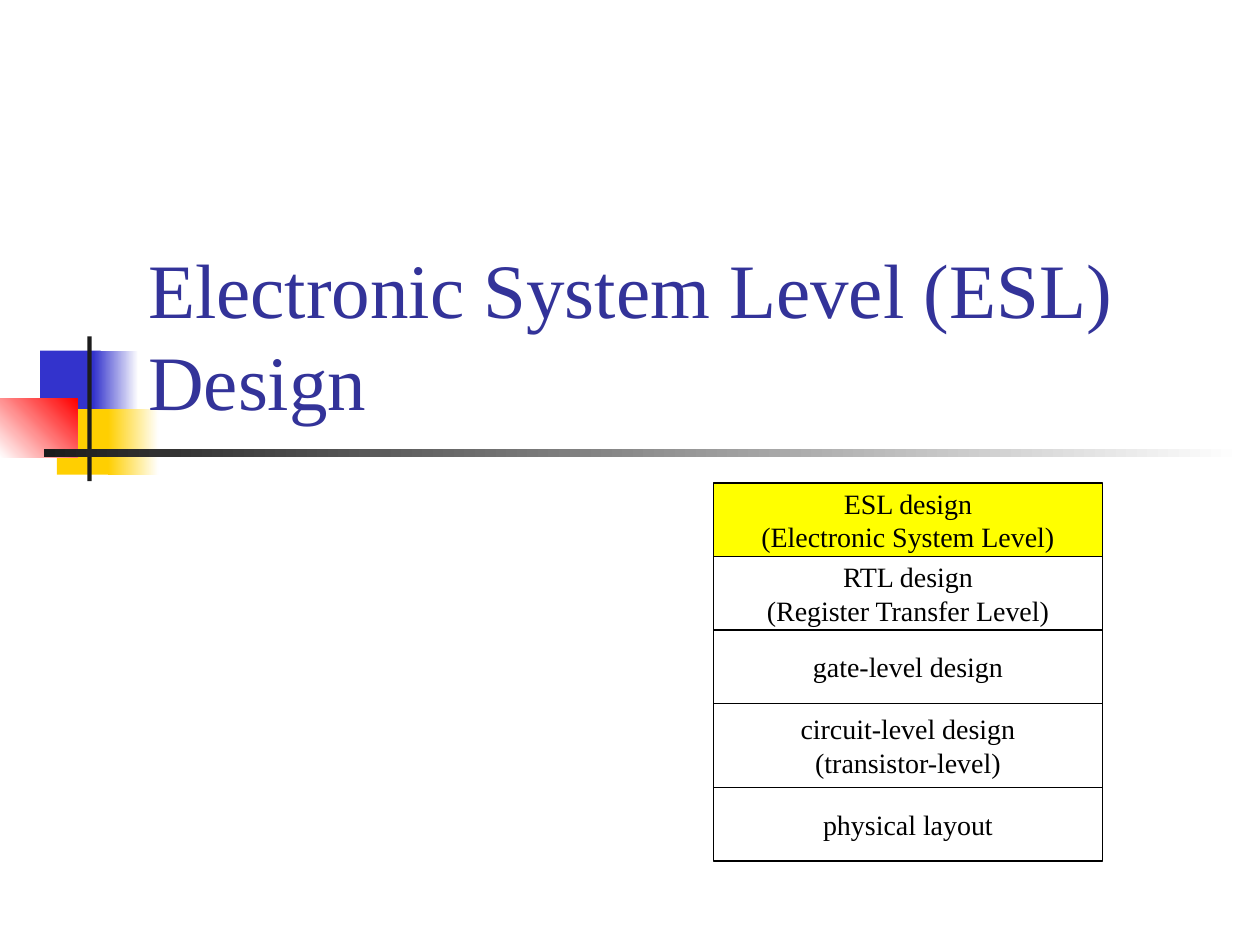
from pptx import Presentation
from pptx.dml.color import RGBColor
from pptx.enum.shapes import MSO_SHAPE as Shape
from pptx.enum.text import MSO_ANCHOR as Anchor, PP_ALIGN as Align
from pptx.util import Cm, Pt

BLACK = RGBColor(0x00, 0x00, 0x00)
WHITE = RGBColor(0xFF, 0xFF, 0xFF)
INK = RGBColor(0x1C, 0x1C, 0x1C)
BLUE = RGBColor(0x33, 0x33, 0xCC)
NAVY = RGBColor(0x33, 0x33, 0x99)
GOLD = RGBColor(0xFF, 0xCF, 0x01)
RED = RGBColor(0xFF, 0x00, 0x00)
YELLOW = RGBColor(0xFF, 0xFF, 0x00)


def write(frame, text, font="Times New Roman", size=16, color=BLACK,
          align=Align.LEFT, anchor=Anchor.MIDDLE, wrap=False):
    frame.word_wrap = wrap
    frame.vertical_anchor = anchor
    frame.text = text
    for para in frame.paragraphs:
        para.alignment = align
        para.font.name = font
        para.font.size = Pt(size)
        para.font.color.rgb = color


class Deck:
    def __init__(self):
        self.show = Presentation()
        self.show.slide_width = Cm(25.4)
        self.show.slide_height = Cm(19.05)
        self.slide = self.show.slides.add_slide(self.show.slide_layouts[6])
        self.edge = Pt(0.75)

    def group(self):
        return self.slide.shapes.add_group_shape().shapes

    def rect(self, home, box, fill=None):
        shape = home.add_shape(Shape.RECTANGLE, *map(Cm, box))
        shape.shadow.inherit = False
        shape.line.fill.background()
        if fill is None:
            shape.fill.background()
        else:
            shape.fill.solid()
            shape.fill.fore_color.rgb = fill
        return shape

    def fade(self, home, box, start, end, angle=0):
        fill = self.rect(home, box).fill
        fill.gradient()
        fill.gradient_angle = angle
        for stop, color, place in zip(fill.gradient_stops, (start, end), (0, 1)):
            stop.color.rgb = color
            stop.position = place

    def level(self, home, box, text, fill=None):
        shape = self.rect(home, box, fill)
        shape.line.color.rgb = BLACK
        shape.line.width = self.edge
        write(shape.text_frame, text, align=Align.CENTER)

    def title(self, box, text):
        frame = self.slide.shapes.add_textbox(*map(Cm, box)).text_frame
        write(frame, text, size=44, color=NAVY, anchor=Anchor.BOTTOM, wrap=True)


def main():
    deck = Deck()

    motif = deck.group()
    deck.rect(motif, (0.81, 7.07, 1.22, 1.32), BLUE)
    deck.fade(motif, (1.88, 7.07, 0.91, 1.32), BLUE, WHITE)
    deck.rect(motif, (1.15, 8.25, 1.17, 1.32), GOLD)
    deck.fade(motif, (2.18, 8.25, 1.02, 1.32), GOLD, WHITE)
    deck.fade(motif, (0, 8.04, 1.56, 1.18), WHITE, RED, angle=45)
    deck.rect(motif, (1.76, 6.78, 0.09, 2.92), INK)
    deck.fade(motif, (0.89, 9.06, 24.15, 0.16), INK, WHITE)

    deck.title((2.74, 4.66, 21.59, 4.06), "Electronic System Level (ESL) Design")

    levels = (
        ("ESL design\n(Electronic System Level)", 1.48, YELLOW),
        ("RTL design\n(Register Transfer Level)", 1.48, None),
        ("gate-level design", 1.48, None),
        ("circuit-level design\n(transistor-level)", 1.7, None),
        ("physical layout", 1.48, None),
    )
    stack = deck.group()
    top = 9.74
    for text, height, fill in levels:
        deck.level(stack, (14.39, top, 7.83, height), text, fill)
        top += height

    deck.show.save("out.pptx")


if __name__ == "__main__":
    main()
